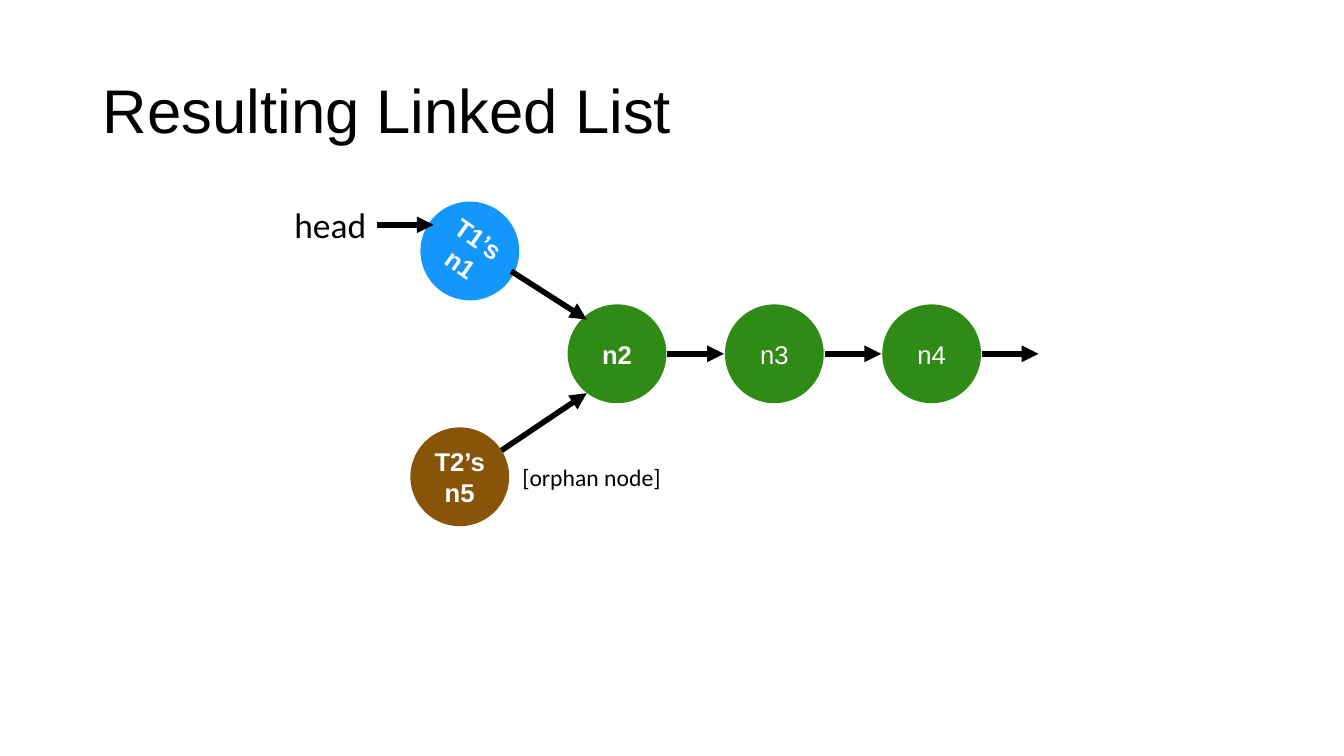
"""Builds the slide that shows the linked list left after two threads insert a node."""
from lxml.etree import SubElement
from pptx import Presentation
from pptx.dml.color import RGBColor
from pptx.enum.shapes import MSO_CONNECTOR, MSO_SHAPE
from pptx.enum.text import MSO_ANCHOR, PP_ALIGN
from pptx.oxml.ns import qn
from pptx.util import Inches, Pt

BLACK, WHITE = "000000", "FFFFFF"
BLUE, GREEN, BROWN = "1497FC", "308B16", "88540A"


def color(value):
    return RGBColor.from_string(value)


def write(frame, text, size, font="Arial", ink=BLACK, bold=False,
          align=PP_ALIGN.LEFT, spacing=1.0, inset=None, wrap=True):
    frame.word_wrap = wrap
    frame.vertical_anchor = MSO_ANCHOR.MIDDLE
    if inset is not None:
        frame.margin_left = frame.margin_right = Inches(inset)
        frame.margin_top = frame.margin_bottom = Inches(inset)
    for index, line in enumerate(text.split("\n")):
        para = frame.paragraphs[0] if index == 0 else frame.add_paragraph()
        para.alignment = align
        para.line_spacing = spacing
        span = para.add_run()
        span.text = line
        span.font.size = Pt(size)
        span.font.name = font
        span.font.bold = bold
        span.font.color.rgb = color(ink)


class ListSlide:
    diameter = 0.98
    node_size = 18.3
    line_width = 4

    def __init__(self, deck):
        self.page = deck.slides.add_slide(deck.slide_layouts[5])

    def title(self, text, left, top, width, height):
        box = self.page.shapes.title
        box.left, box.top = Inches(left), Inches(top)
        box.width, box.height = Inches(width), Inches(height)
        write(box.text_frame, text, 44, spacing=0.9)

    def label(self, text, left, top, width, height, size):
        box = self.page.shapes.add_textbox(
            Inches(left), Inches(top), Inches(width), Inches(height))
        write(box.text_frame, text, size, font="Calibri", inset=0.04, wrap=False)

    def node(self, text, center_x, center_y, fill, bold=True, rotation=0):
        radius = self.diameter / 2
        circle = self.page.shapes.add_shape(
            MSO_SHAPE.OVAL, Inches(center_x - radius), Inches(center_y - radius),
            Inches(self.diameter), Inches(self.diameter))
        circle.shadow.inherit = False
        circle.rotation = rotation
        circle.fill.solid()
        circle.fill.fore_color.rgb = color(fill)
        circle.line.fill.background()
        write(circle.text_frame, text, self.node_size, ink=WHITE, bold=bold,
              align=PP_ALIGN.CENTER, inset=0)

    def arrow(self, start_x, start_y, end_x, end_y):
        link = self.page.shapes.add_connector(
            MSO_CONNECTOR.STRAIGHT, Inches(start_x), Inches(start_y),
            Inches(end_x), Inches(end_y))
        link.line.color.rgb = color(BLACK)
        link.line.width = Pt(self.line_width)
        SubElement(link.line._get_or_add_ln(), qn("a:tailEnd"), type="triangle")
        SubElement(link._element.spPr, qn("a:effectLst"))


deck = Presentation()
deck.slide_width, deck.slide_height = Inches(13.33), Inches(7.5)
slide = ListSlide(deck)
slide.title("Resulting Linked List", 0.92, 0.4, 11.5, 1.45)

slide.node("T1’s\nn1", 4.66, 2.49, BLUE, rotation=35.1)
slide.label("head", 2.88, 1.98, 0.8, 0.5, 25.3)
slide.arrow(3.74, 2.23, 4.3, 2.23)

row_y, first_x, pitch = 3.51, 6.12, 1.56
for index, name in enumerate(["n2", "n3", "n4"]):
    center_x = first_x + index * pitch
    slide.node(name, center_x, row_y, GREEN, bold=name == "n2")
    slide.arrow(center_x + 0.5, row_y, center_x + 1.06, row_y)

slide.arrow(5.07, 2.69, 5.82, 3.17)
slide.arrow(4.69, 4.66, 5.82, 3.9)
slide.node("T2’s\nn5", 4.56, 4.73, BROWN)
slide.label("[orphan node]", 5.14, 4.55, 1.46, 0.36, 16.9)

deck.save("out.pptx")
